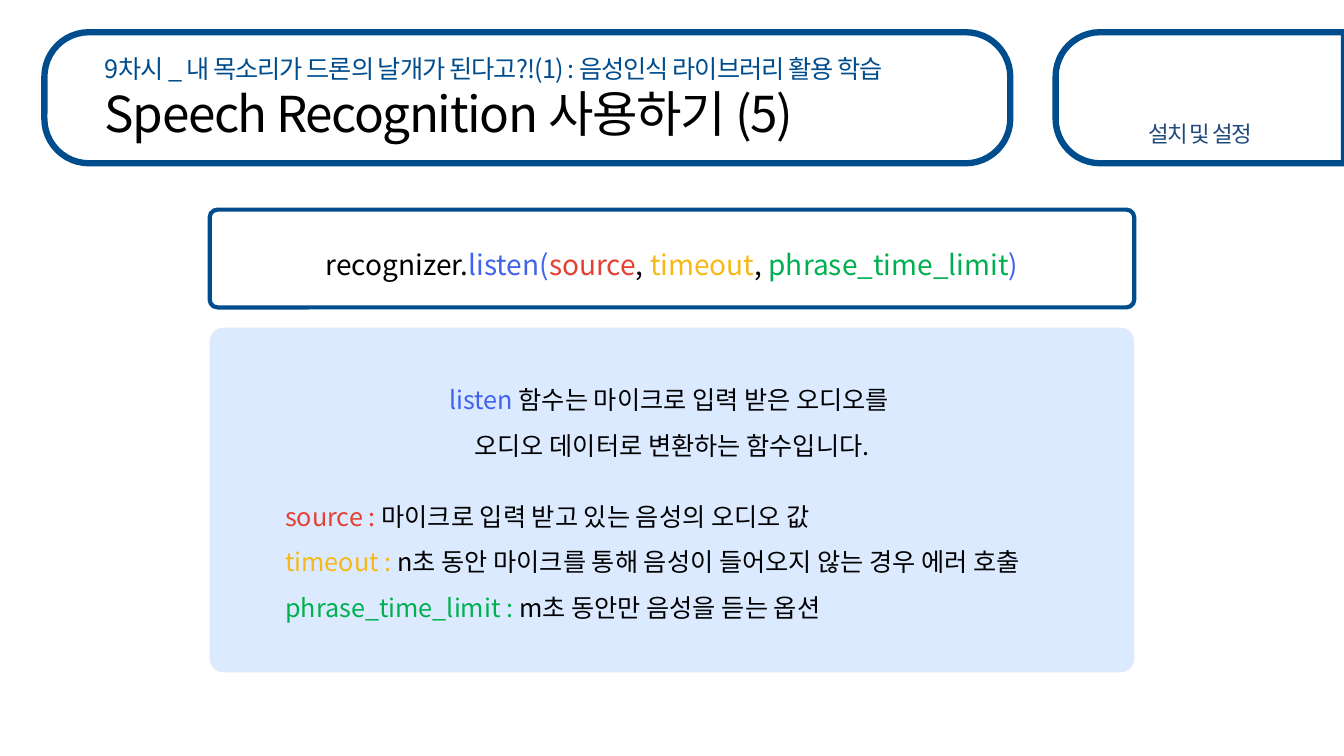
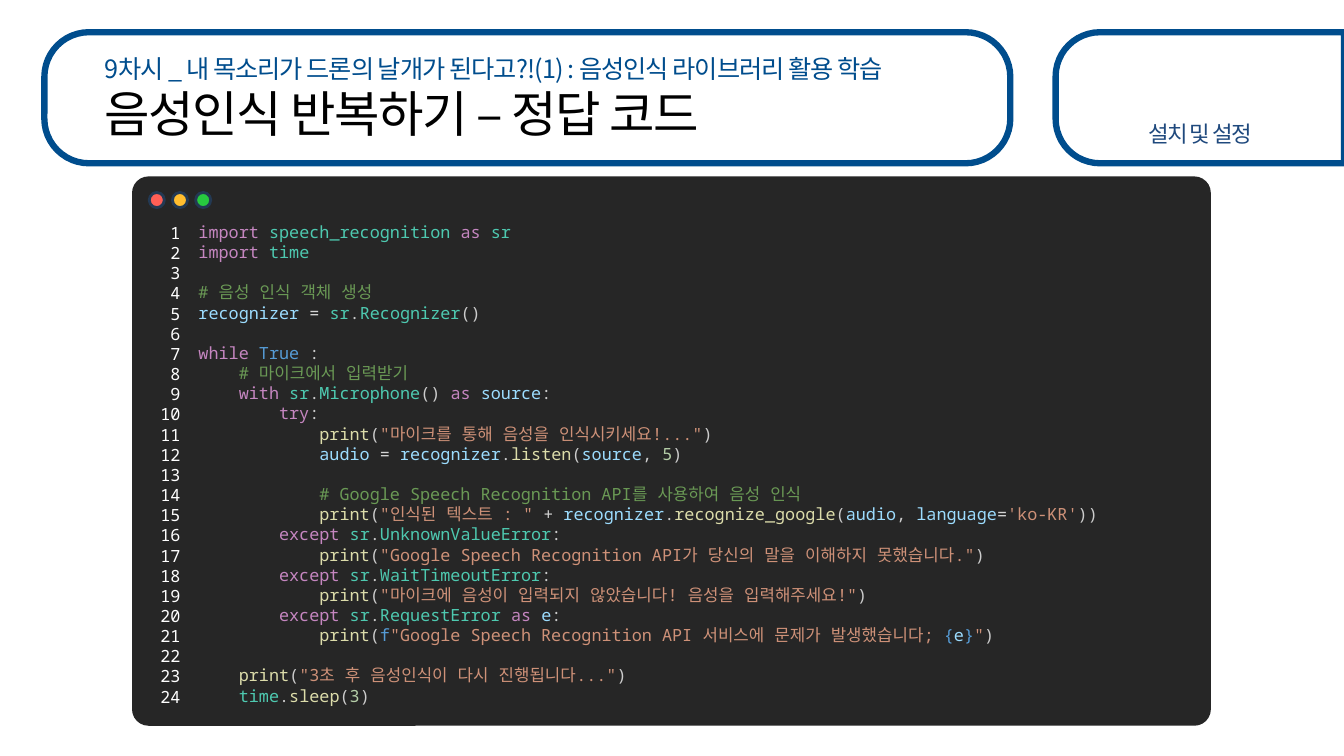
from math import cos, pi, sin

from lxml import etree
from pptx import Presentation
from pptx.dml.color import RGBColor
from pptx.enum.shapes import MSO_SHAPE
from pptx.enum.text import MSO_ANCHOR, MSO_AUTO_SIZE, PP_ALIGN
from pptx.oxml.ns import qn
from pptx.util import Inches, Pt

ROUND = MSO_SHAPE.ROUNDED_RECTANGLE
OVAL = MSO_SHAPE.OVAL
TOP, MID = MSO_ANCHOR.TOP, MSO_ANCHOR.MIDDLE
LEFT, MIDDLE, RIGHT = PP_ALIGN.LEFT, PP_ALIGN.CENTER, PP_ALIGN.RIGHT
FIXED = MSO_AUTO_SIZE.NONE

SANS, MONO = "Noto Sans CJK KR", "Noto Sans Mono"
NAVY, BLACK, WHITE = "004D8D", "000000", "FFFFFF"
BLUE, RED, GOLD, GREEN = "4263EB", "E54133", "F6B917", "00B050"


def tint(code):
    return RGBColor.from_string(code)


def write(shape, lines, size=18, face=SANS, align=LEFT, anchor=TOP,
          pitch=None, track=0, pad=0.05, gaps=None):
    frame = shape.text_frame
    frame.word_wrap = True
    frame.auto_size = FIXED
    frame.vertical_anchor = anchor
    frame.margin_left = frame.margin_right = Inches(0.1)
    frame.margin_top = frame.margin_bottom = Inches(pad)
    for i, runs in enumerate(lines):
        para = frame.paragraphs[0] if i == 0 else frame.add_paragraph()
        props = para._p.get_or_add_pPr()
        props.set("marL", "0")
        props.set("indent", "0")
        etree.SubElement(props, qn("a:buNone"))
        para.alignment = align[i] if isinstance(align, list) else align
        para.space_before = Pt((gaps or {}).get(i, 0))
        if pitch:
            para.line_spacing = pitch
        for text, tone, *extra in runs:
            run = para.add_run()
            run.text = text
            run.font.size = Pt(size)
            run.font.bold = False
            run.font.color.rgb = tint(tone)
            run.font.name = face
            mark = run._r.get_or_add_rPr()
            etree.SubElement(mark, qn("a:ea")).set("typeface", face)
            space = extra[0] if extra else track
            if space:
                mark.set("spc", str(round(space * 100)))


deck = Presentation()
deck.slide_width, deck.slide_height = Inches(13.33), Inches(7.5)
layout = deck.slide_layouts.get_by_name("Two Content")

spots = {0: (0.94, 0.82, 8.89, 0.59),
         1: (0.94, 0.52, 8.33, 0.31),
         2: (11.06, 1.14, 1.69, 0.39)}
for holder in layout.placeholders:
    key = holder.placeholder_format.idx
    if key in spots:
        holder.left, holder.top, holder.width, holder.height = map(Inches, spots[key])

unit = [("9차시 _ ", NAVY, -1),
        ("내 목소리가 드론의 날개가 된다고?!(1) : 음성인식 라이브러리 활용 학습", NAVY, -0.7)]
pages = []
for title in ("Speech Recognition 사용하기 (5)", "음성인식 반복하기 – 정답 코드"):
    page = deck.slides.add_slide(layout)
    pages.append(page)
    slots = page.placeholders
    write(slots[0], [[(title, BLACK)]], size=35.3, anchor=MID, track=-1, pad=0)
    write(slots[1], [unit], anchor=MID, pad=0)
    write(slots[2], [[("설치 및 설정", "1F497D")]], size=16, align=MIDDLE, track=-1)
usage, code = pages

left, top, right, base, bend = 10.47, 0.32, 13.33, 1.62, 0.44
dots = [(right, top), (right, base)]
for cy, start in ((base - bend, pi / 2), (top + bend, pi)):
    for step in range(13):
        turn = start + step * pi / 24
        dots.append((left + bend + bend * cos(turn), cy + bend * sin(turn)))
pen = usage.shapes.build_freeform(Inches(left + bend), Inches(top))
pen.add_line_segments([(Inches(x), Inches(y)) for x, y in dots], close=True)
tab = pen.convert_to_shape()

pane = code.shapes.add_group_shape().shapes
forms = [(tab, WHITE, NAVY, 4.5)]
plan = [
    (usage.shapes, ROUND, (0.44, 0.32, 9.58, 1.3), 0.34, WHITE, NAVY, 4.5),
    (usage.shapes, ROUND, (2.08, 3.25, 9.17, 3.42), 0.04, "DCEAFF", None, 0),
    (usage.shapes, ROUND, (2.08, 2.08, 9.17, 0.97), 0.08, None, NAVY, 3),
    (pane, ROUND, (1.31, 1.75, 10.7, 5.45), 0.03, "262626", None, 0),
]
for i, hue in enumerate(("FF5F56", "FFBD2E", "27C93F")):
    plan.append((pane, OVAL, (1.48 + 0.23 * i, 1.91, 0.15, 0.15), None, hue, "233953", 2))
for host, kind, box, curve, fill, edge, width in plan:
    form = host.add_shape(kind, *map(Inches, box))
    if curve:
        form.adjustments[0] = curve
    forms.append((form, fill, edge, width))

for form, fill, edge, width in forms:
    form.shadow.inherit = False
    if fill:
        form.fill.solid()
        form.fill.fore_color.rgb = tint(fill)
    else:
        form.fill.background()
    if edge:
        form.line.color.rgb = tint(edge)
        form.line.width = Pt(width)
    else:
        form.line.fill.background()

first = layout.placeholders[0].element
for i, (form, *_) in enumerate(forms[:2]):
    form.element.nvSpPr.cNvPr.set("id", str(90 + i))
    first.addprevious(form.element)

call = [("recognizer.", BLACK), ("listen(", BLUE), ("source", RED), (", ", BLACK),
        ("timeout", GOLD), (", ", BLACK), ("phrase_time_limit", GREEN), (")", BLUE)]
notes = [
    [("listen ", BLUE), ("함수는 마이크로 입력 받은 오디오를 ", BLACK)],
    [("오디오 데이터로 변환하는 함수입니다.", BLACK)],
    [("source : ", RED), ("마이크로 입력 받고 있는 음성의 오디오 값", BLACK)],
    [("timeout : ", GOLD),
     ("n초 동안 마이크를 통해 음성이 들어오지 않는 경우 에러 호출", BLACK)],
    [("phrase_time_limit : ", GREEN), ("m초 동안만 음성을 듣는 옵션", BLACK)],
]
box = usage.shapes.add_textbox(*map(Inches, (2.73, 2.36, 7.87, 0.45)))
write(box, [call], size=20, align=MIDDLE, pitch=1.15)
box = usage.shapes.add_textbox(*map(Inches, (2.73, 3.63, 7.87, 2.58)))
write(box, notes, align=[MIDDLE] * 2 + [LEFT] * 3, anchor=MID, pitch=1.5, gaps={2: 18.5})

words = {
    "C586C0": "import as while with try except",
    "4EC9B0": "speech_recognition sr time Recognizer Microphone "
              "UnknownValueError WaitTimeoutError RequestError",
    "9CDCFE": "recognizer source audio language e",
    "DCDCAA": "print listen recognize_google sleep",
    "569CD6": "True f { }",
    "D4D4D4": "= +",
    "B5CEA8": "5 3",
}
tones = {word: hue for hue, group in words.items() for word in group.split()}
marks = {"#": "6A9955", '"': "CE9178", "'": "CE9178"}
rows = [
    "import |speech_recognition |as |sr",
    "import |time",
    "",
    "# 음성 인식 객체 생성",
    "recognizer |= |sr|.|Recognizer|()",
    "",
    "while |True| :",
    "    # 마이크에서 입력받기",
    "    with |sr|.|Microphone|() |as |source|:",
    "        try|:",
    '            print|(|"마이크를 통해 음성을 인식시키세요!..."|)',
    "            audio |= |recognizer|.|listen|(|source|, |5|)",
    "",
    "            # Google Speech Recognition API를 사용하여 음성 인식",
    '            print|(|"인식된 텍스트 : " |+ |recognizer|.|recognize_google|'
    "(|audio|, |language|=|'ko-KR'|))",
    "        except |sr|.|UnknownValueError|:",
    '            print|(|"Google Speech Recognition API가 당신의 말을 이해하지 못했습니다."|)',
    "        except |sr|.|WaitTimeoutError|:",
    '            print|(|"마이크에 음성이 입력되지 않았습니다! 음성을 입력해주세요!"|)',
    "        except |sr|.|RequestError |as |e|:",
    '            print|(|f|"Google Speech Recognition API 서비스에 문제가 발생했습니다; |{|e|}|"|)',
    "",
    '    print|(|"3초 후 음성인식이 다시 진행됩니다..."|)',
    "    time|.|sleep|(|3|)",
]
lines = []
for row in rows:
    runs = []
    for part in (row or " ").split("|"):
        word = part.strip()
        runs.append((part, tones.get(word, marks.get(word[:1], "CCCCCC"))))
    lines.append(runs)
count = [[(str(i + 1), WHITE)] for i in range(len(lines))]

for spot, text, align in (((1.87, 2.15, 10.02, 4.95), lines, LEFT),
                          ((1.46, 2.16, 0.43, 4.95), count, RIGHT)):
    box = pane.add_textbox(*map(Inches, spot))
    write(box, text, size=12, face=MONO, align=align)

deck.save("out.pptx")
